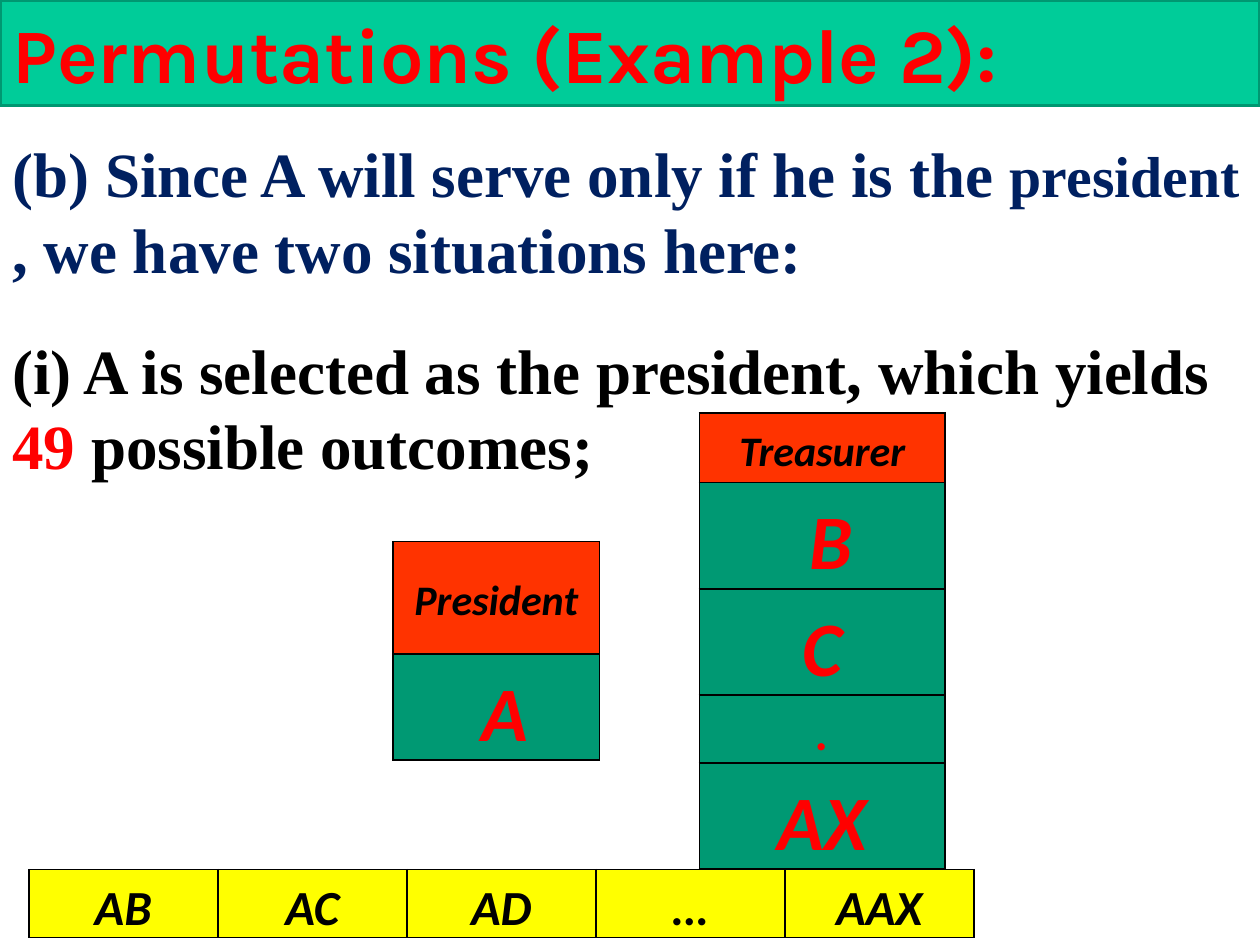
import pptx
import pptx.util
import pptx.dml.color
import pptx.enum.shapes
import pptx.enum.text
from lxml import etree

Cm = pptx.util.Cm
Pt = pptx.util.Pt
ALIGN = pptx.enum.text.PP_ALIGN
ANCHOR = pptx.enum.text.MSO_ANCHOR

RED, NAVY, BLACK = "FF0000", "002060", "000000"
ORANGE, GREEN, YELLOW = "FF3300", "009973", "FFFF00"

TITLE = [("Permutations (Example 2):", 44, RED)]
STATEMENTS = [
    (2.59, [("(b) Since A will serve only if he is the ", 36, NAVY),
            ("president", 33, NAVY),
            (" , we have two situations here:", 36, NAVY)]),
    (6.55, [("(i) A is selected as the president, which yields ", 36, BLACK),
            ("49", 36, RED),
            (" possible outcomes;", 36, BLACK)]),
]
HEADING = {"size": 24, "color": BLACK, "fill": ORANGE, "anchor": ANCHOR.MIDDLE}
CANDIDATE = {"size": 44, "color": RED, "fill": GREEN, "anchor": ANCHOR.MIDDLE}
DOT = {**CANDIDATE, "size": 28}
OUTCOME = {"size": 28, "color": BLACK, "fill": YELLOW, "anchor": ANCHOR.TOP}
TABLES = [
    {"left": 7.92, "top": 10.92, "column": 4.17, "heights": [2.26, 1.12],
     "rows": [[("President", HEADING)], [(" A", CANDIDATE)]]},
    {"left": 14.1, "top": 8.33, "column": 4.95,
     "heights": [1.4, 1.83, 1.83, 1.32, 1.83],
     "rows": [[("Treasurer", HEADING)], [(" B", CANDIDATE)],
              [("C", CANDIDATE)], [(".", DOT)], [("AX", CANDIDATE)]]},
    {"left": 0.58, "top": 17.53, "column": 3.81, "heights": [1.3],
     "rows": [[(label, OUTCOME) for label in ("AB", "AC", "AD", "…", "AAX")]]},
]


def rgb(value):
    return pptx.dml.color.RGBColor.from_string(value)


def apply(target, values):
    for name, value in values.items():
        setattr(target, name, value)


def paint(part, color):
    part.fill.solid()
    part.fill.fore_color.rgb = rgb(color)


def write(paragraph, pieces, face, italic=None):
    for text, size, color in pieces:
        run = paragraph.add_run()
        run.text = text
        apply(run.font, {"name": face, "size": Pt(size), "bold": True, "italic": italic})
        run.font.color.rgb = rgb(color)


def add_border(cell):
    properties = cell._tc.get_or_add_tcPr()
    namespace = etree.QName(properties).namespace
    for position, side in enumerate(("lnL", "lnR", "lnT", "lnB")):
        line = etree.Element(f"{{{namespace}}}{side}", w=str(Pt(1)))
        solid = etree.SubElement(line, f"{{{namespace}}}solidFill")
        etree.SubElement(solid, f"{{{namespace}}}srgbClr", val=BLACK)
        properties.insert(position, line)


def fill_cell(cell, text, style):
    apply(cell, {"margin_left": Cm(0.19), "margin_right": Cm(0.19), "margin_top": 0,
                 "margin_bottom": 0, "vertical_anchor": style["anchor"]})
    paint(cell, style["fill"])
    add_border(cell)
    paragraph = cell.text_frame.paragraphs[0]
    apply(paragraph, {"alignment": ALIGN.CENTER, "line_spacing": 1.15})
    write(paragraph, [(text, style["size"], style["color"])], "Calibri", True)


def add_grid(slide, left, top, column, heights, rows):
    count = len(rows[0])
    table = slide.shapes.add_table(len(rows), count, Cm(left), Cm(top),
                                   Cm(column * count), Cm(sum(heights))).table
    apply(table, {"first_row": False, "horz_banding": False})
    for table_column in table.columns:
        table_column.width = Cm(column)
    for r, (height, row) in enumerate(zip(heights, rows)):
        table.rows[r].height = Cm(height)
        for c, (text, style) in enumerate(row):
            fill_cell(table.cell(r, c), text, style)


def main():
    deck = pptx.Presentation()
    apply(deck, {"slide_width": Cm(25.4), "slide_height": Cm(19.05)})
    slide = deck.slides.add_slide(deck.slide_layouts[6])
    frame_format = {"word_wrap": True,
                    "auto_size": pptx.enum.text.MSO_AUTO_SIZE.SHAPE_TO_FIT_TEXT}

    banner = slide.shapes.add_shape(pptx.enum.shapes.MSO_SHAPE.RECTANGLE,
                                    0, 0, deck.slide_width, Cm(2.13))
    banner.shadow.inherit = False
    paint(banner, "00CC99")
    banner.line.color.rgb = rgb("009771")
    banner.line.width = Pt(2)
    apply(banner.text_frame, frame_format)
    heading = banner.text_frame.paragraphs[0]
    heading.alignment = ALIGN.JUSTIFY
    write(heading, TITLE, "Karla")

    for top, pieces in STATEMENTS:
        statement = slide.shapes.add_textbox(0, Cm(top), deck.slide_width, Cm(3.33))
        apply(statement.text_frame, frame_format)
        write(statement.text_frame.paragraphs[0], pieces, "Times New Roman")

    for grid in TABLES:
        add_grid(slide, **grid)

    deck.save("out.pptx")


if __name__ == "__main__":
    main()
